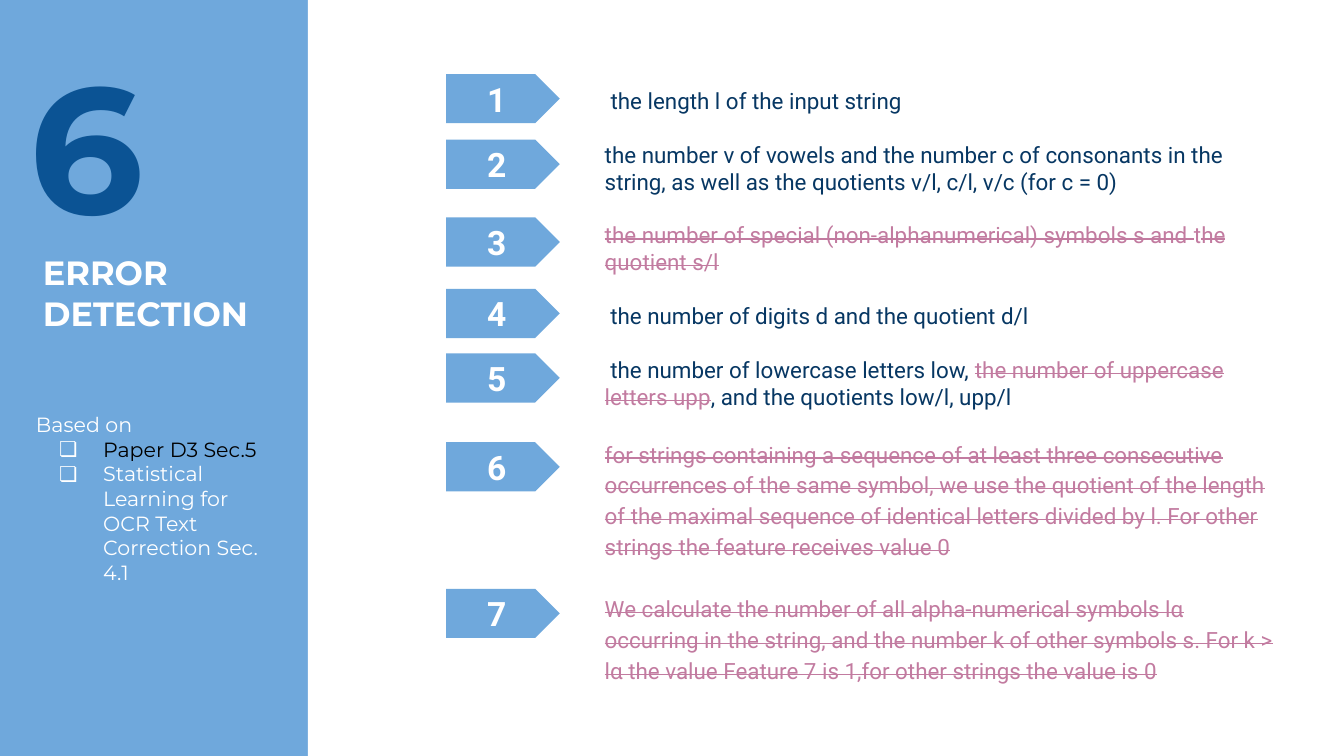
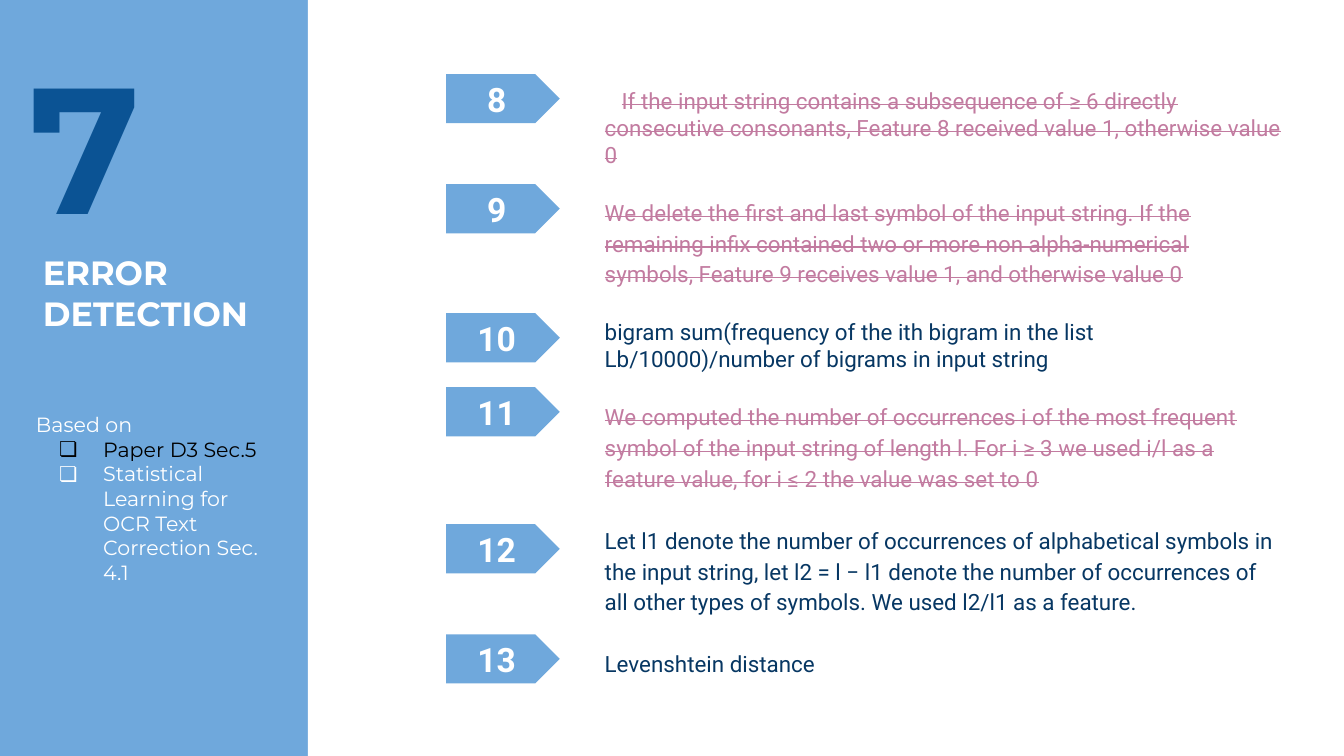
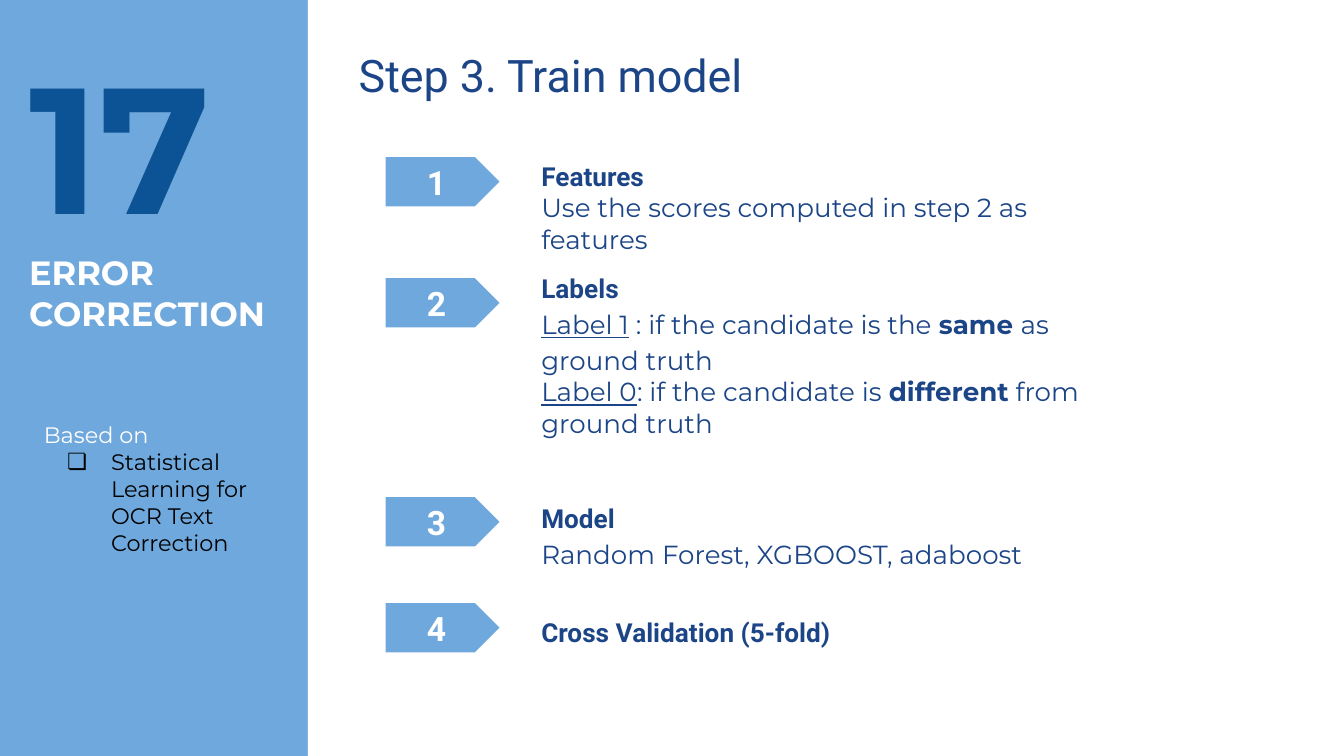
import pptx
import pptx.dml.color
import pptx.enum.shapes
import pptx.enum.text
import pptx.oxml.ns
import pptx.util
from lxml import etree

Cm, Pt = pptx.util.Cm, pptx.util.Pt
RGB = pptx.dml.color.RGBColor.from_string
SHAPE = pptx.enum.shapes.MSO_SHAPE
qn = pptx.oxml.ns.qn

COLORS = {"sky": "6FA8DC", "white": "FFFFFF", "black": "000000", "number": "0B5394",
          "navy": "073763", "blue": "1C4587", "dropped": "C27BA0"}
LOOSE = 1.15
BLANK_LINE = 14.4
STRUCK = {"color": "dropped", "strike": True}
HEADING = {"font": "Roboto", "bold": True}
UNDERLINED = {"underline": True}


def fill_text(frame, paragraphs, font, size, color, bold=False):
    """Write paragraphs of (text, style) spans; a style overrides the defaults."""
    frame.word_wrap = True
    frame.margin_left = frame.margin_right = Cm(0.25)
    frame.margin_top = frame.margin_bottom = Cm(0.25)
    for index, item in enumerate(paragraphs):
        para = frame.paragraphs[0] if index == 0 else frame.add_paragraph()
        para.line_spacing = item.get("line", 1.0)
        para.space_before = Pt(0)
        para.space_after = Pt(item.get("after", 0))
        settings = para._p.get_or_add_pPr()
        if "indent" in item:
            settings.set("indent", str(Cm(item["indent"])))
        if "bullet" in item:
            settings.set("marL", str(Cm(1.27)))
            settings.set("indent", str(Cm(-0.83)))
            tint = etree.SubElement(settings, qn("a:buClr"))
            etree.SubElement(tint, qn("a:srgbClr"), val=COLORS[item["bullet"]])
            etree.SubElement(settings, qn("a:buFont"), typeface="Montserrat")
            etree.SubElement(settings, qn("a:buChar"), char="❏")
        for text, style in item["spans"]:
            span = para.add_run()
            span.text = text
            span.font.name = style.get("font", font)
            span.font.size = Pt(size)
            span.font.bold = style.get("bold", bold)
            span.font.underline = style.get("underline", False)
            span.font.color.rgb = RGB(COLORS[style.get("color", color)])
            if style.get("strike"):
                span._r.get_or_add_rPr().set("strike", "sngStrike")


def add_text(page, place, paragraphs, font, size, color, bold=False):
    box = page.shapes.add_textbox(*[Cm(length) for length in place])
    fill_text(box.text_frame, paragraphs, font, size, color, bold)


# Sidebar sources: text, text colour, bullet colour
PAPER = "Paper D3 Sec.5"
BOOK = "Statistical Learning for OCR Text Correction"
BOOK_SECTION = (BOOK + " Sec. 4.1", "white", "white")

# Features, one paragraph each
FEATURES_1_TO_7 = [
    {"spans": [(" ", {"font": "Montserrat"}), ("the length l of the input string", {})]},
    {"spans": [("the number v of vowels and the number c of consonants in the string, "
                "as well as the quotients v/l, c/l, v/c (for c = 0)", {})]},
    {"spans": [("the number of special (non-alphanumerical) symbols s and ", STRUCK),
               ("t", {"color": "dropped"}), ("he quotient s/l", STRUCK)]},
    {"spans": [(" the number of digits d and the quotient d/l", {})]},
    {"spans": [(" the number of lowercase letters low, ", {}),
               ("the number of uppercase letters upp", STRUCK),
               (", and the quotients low/l, upp/l", {})]},
    {"line": LOOSE, "spans": [
        ("for strings containing a sequence of at least three consecutive occurrences of the "
         "same symbol, we use the quotient of the length of the maximal sequence of identical "
         "letters divided by l. For other strings the feature receives value 0", STRUCK)]},
    {"line": LOOSE, "spans": [
        ("We calculate the number of all alpha-numerical symbols lα occurring in the string, "
         "and the number k of other symbols s. For k > lα the value Feature 7 is 1,"
         "for other strings the value is 0", STRUCK)]},
]
FEATURES_8_TO_13 = [
    {"indent": 0.32, "spans": [
        ("If the input string contains a subsequence of ≥ 6 directly consecutive consonants, "
         "Feature 8 received value 1, otherwise value 0", STRUCK)]},
    {"line": LOOSE, "spans": [
        ("We delete the first and last symbol of the input string. If the remaining infix "
         "contained two or more non alpha-numerical symbols, Feature 9 receives value 1, "
         "and otherwise value 0", STRUCK)]},
    {"spans": [("bigram sum(frequency of the ith bigram in the list Lb/10000)/number of "
                "bigrams in input string", {})]},
    {"line": LOOSE, "spans": [
        ("We computed the number of occurrences i of the most frequent symbol of the input "
         "string of length l. For i ≥ 3 we used i/l as a feature value, "
         "for i ≤ 2 the value was set to 0", STRUCK)]},
    {"line": LOOSE, "spans": [
        ("Let l1 denote the number of occurrences of alphabetical symbols in the input string, "
         "let l2 = l − l1 denote the number of occurrences of all other types of symbols. "
         "We used l2/l1 as a feature.", {})]},
    {"line": LOOSE, "spans": [("Levenshtein distance", {})]},
]

# Training steps: place and paragraphs
TRAINING = [
    ((9.98, 2.69, 11.84, 0.93), [
        {"line": LOOSE, "spans": [("Features", HEADING)]},
        {"spans": [("Use the scores computed in step 2 as features", {})]}]),
    ((9.98, 4.9, 11.84, 0.93), [
        {"spans": [("Labels", HEADING)]},
        {"line": LOOSE, "spans": [
            ("Label 1", UNDERLINED), (" : if the candidate is the ", {}),
            ("same ", {"bold": True}), ("as ground truth", {})]},
        {"spans": [
            ("Label 0", UNDERLINED), (": if the candidate is ", {}),
            ("different", {"bold": True}), (" from ground truth", {})]}]),
    ((9.98, 9.25, 11.61, 0.93), [
        {"spans": [("Model", HEADING)]},
        {"line": LOOSE, "spans": [("Random Forest, XGBOOST, adaboost", {})]}]),
    ((9.98, 11.4, 7.11, 0.93), [
        {"spans": [("Cross Validation (5-fold)", HEADING)]}]),
]

PAGES = [
    {"number": "6", "title": "ERROR DETECTION", "title_place": (0.56, 4.52, 4.75, 2.39),
     "sources": [(PAPER, "black", "white"), BOOK_SECTION],
     "sources_place": (0.43, 7.54, 5.03, 4.45), "sources_size": 11,
     "arrow_left": 8.43, "first_arrow": 1, "features": FEATURES_1_TO_7,
     "arrow_tops": [1.4, 2.64, 4.11, 5.46, 6.68, 8.36, 11.13]},
    {"number": "7", "title": "ERROR DETECTION", "title_place": (0.56, 4.52, 4.75, 2.39),
     "sources": [(PAPER, "black", "black"), BOOK_SECTION],
     "sources_place": (0.43, 7.54, 5.03, 4.45), "sources_size": 11,
     "arrow_left": 8.43, "first_arrow": 8, "features": FEATURES_8_TO_13,
     "arrow_tops": [1.4, 3.48, 5.92, 7.32, 9.91, 11.99]},
    {"number": "17", "title": "ERROR CORRECTION", "title_place": (0.3, 4.52, 5.03, 2.39),
     "sources": [(BOOK, "black", "black")],
     "sources_place": (0.58, 7.72, 4.45, 4.29), "sources_size": 12,
     "arrow_left": 7.29, "first_arrow": 1, "heading": "Step 3. Train model",
     "steps": TRAINING, "arrow_tops": [2.97, 5.26, 9.4, 11.4]},
]

deck = pptx.Presentation()
deck.slide_width, deck.slide_height = Cm(25.4), Cm(14.29)
background = deck.slide_master.background.fill
background.solid()
background.fore_color.rgb = RGB(COLORS["sky"])

for content in PAGES:
    page = deck.slides.add_slide(deck.slide_layouts[6])

    # White panel beside the sidebar
    panel = page.shapes.add_shape(SHAPE.RECTANGLE, Cm(5.82), 0, Cm(19.58), deck.slide_height)
    panel.shadow.inherit = False
    panel.fill.solid()
    panel.fill.fore_color.rgb = RGB(COLORS["white"])
    panel.line.fill.background()

    # Sidebar
    add_text(page, content["title_place"], [{"spans": [(content["title"], {})]}],
             "Montserrat", 18, "white", bold=True)
    add_text(page, (0.3, 0.41, 5.03, 3.48), [{"spans": [(content["number"], {})]}],
             "Montserrat", 96, "number", bold=True)
    sources = [{"spans": [("Based on", {})]}]
    for text, color, bullet in content["sources"]:
        sources.append({"bullet": bullet, "spans": [(text, {"color": color})]})
    add_text(page, content["sources_place"], sources,
             "Montserrat", content["sources_size"], "white")

    # Numbered arrows
    for number, top in enumerate(content["arrow_tops"], content["first_arrow"]):
        arrow = page.shapes.add_shape(SHAPE.PENTAGON, Cm(content["arrow_left"]), Cm(top),
                                      Cm(2.15), Cm(0.93))
        arrow.shadow.inherit = False
        arrow.fill.solid()
        arrow.fill.fore_color.rgb = RGB(COLORS["sky"])
        arrow.line.fill.background()
        fill_text(arrow.text_frame, [{"spans": [(str(number), {})]}],
                  "Roboto", 18, "white", bold=True)
        arrow.text_frame.vertical_anchor = pptx.enum.text.MSO_ANCHOR.MIDDLE
        arrow.text_frame.paragraphs[0].alignment = pptx.enum.text.PP_ALIGN.CENTER

    # Feature list, one line apart
    if "features" in content:
        spaced = [{**feature, "after": round(BLANK_LINE * feature.get("line", 1), 1)}
                  for feature in content["features"]]
        add_text(page, (11.18, 1.4, 13.31, 12.29), spaced, "Roboto", 12, "navy")

    # Heading and training steps
    if "heading" in content:
        add_text(page, (6.53, 0.66, 12.85, 2.03), [{"spans": [(content["heading"], {})]}],
                 "Roboto", 24, "blue")
    for place, paragraphs in content.get("steps", []):
        add_text(page, place, paragraphs, "Montserrat", 14, "blue")

deck.save("out.pptx")
